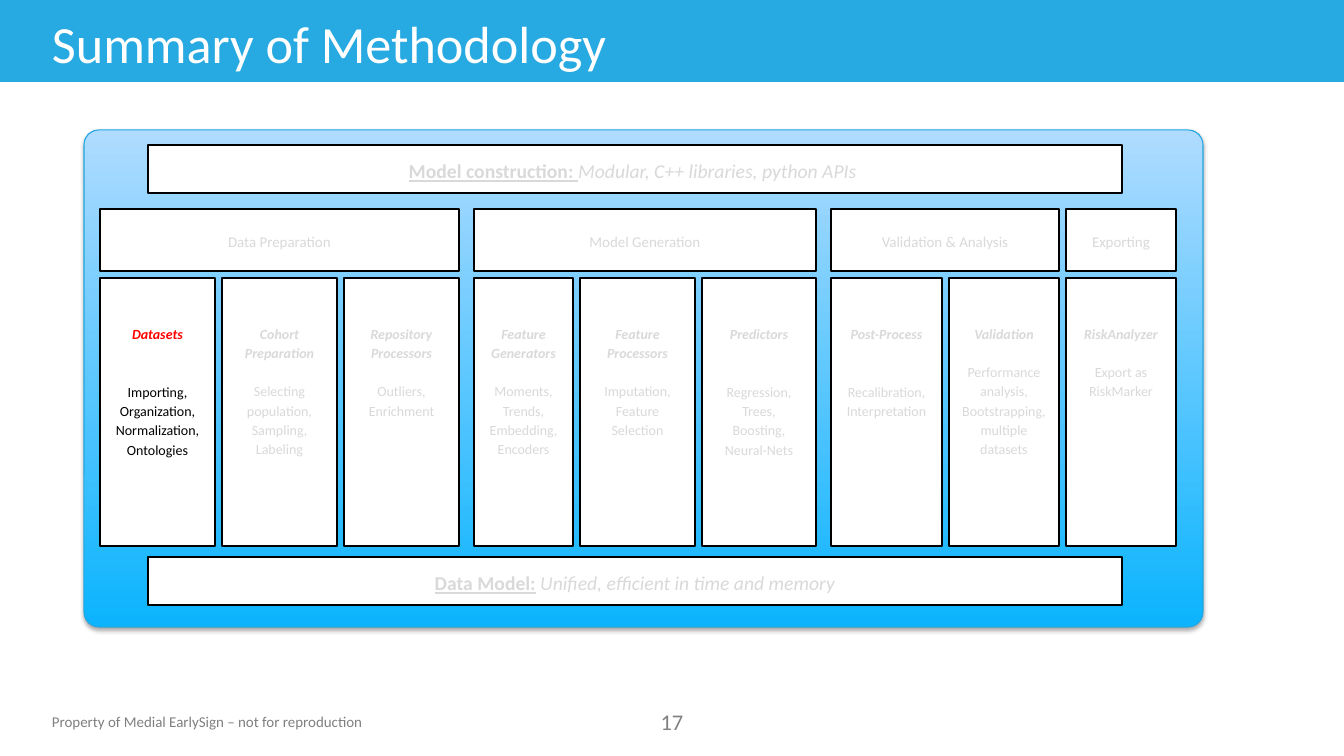
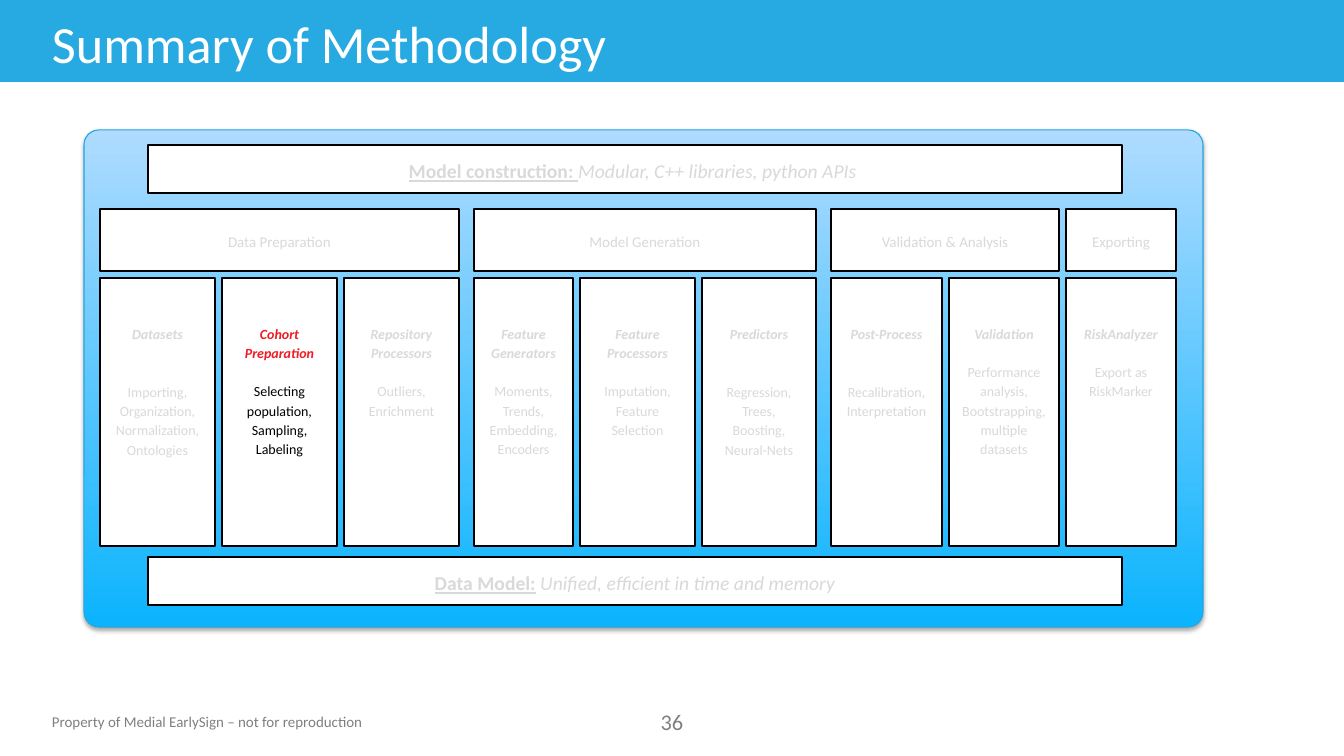
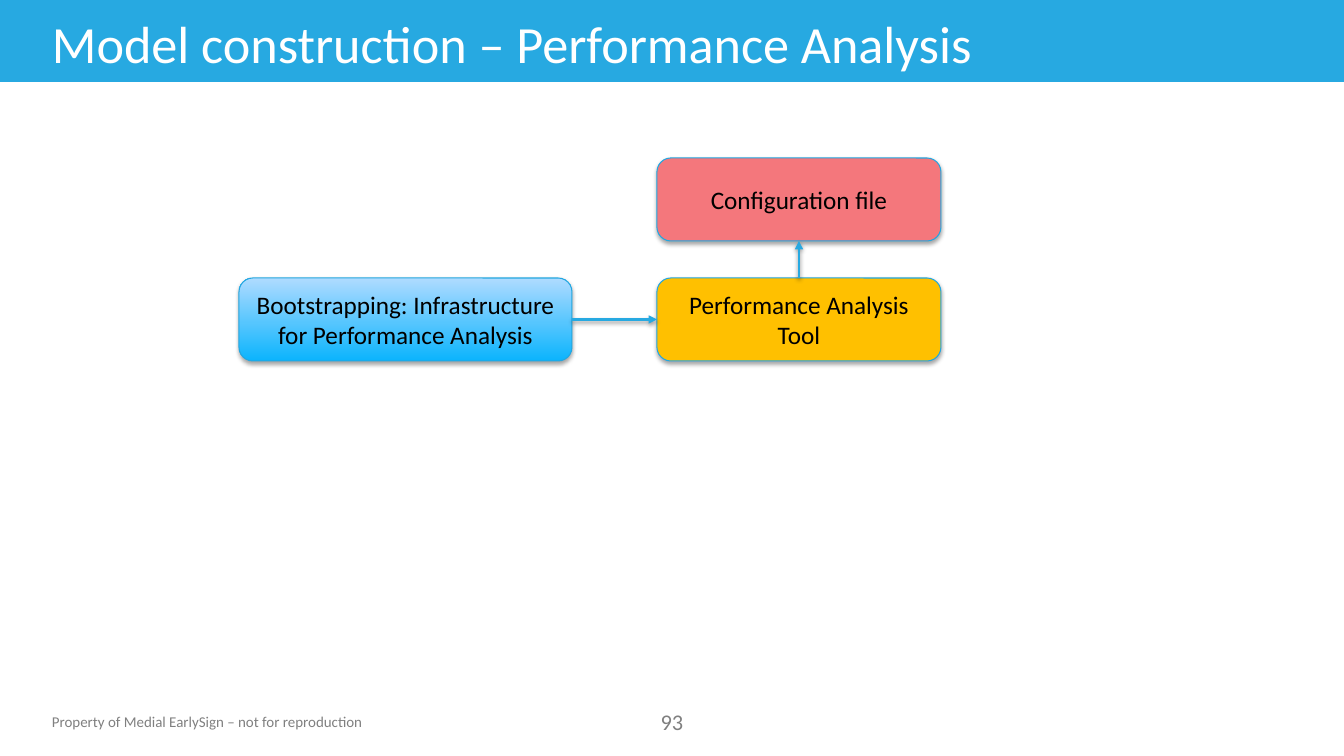
from dataclasses import dataclass

from lxml import etree
from pptx import Presentation, util as u
from pptx.dml.color import RGBColor
from pptx.enum import shapes, text
from pptx.oxml.ns import qn

EMU_PER_PX = 914400 / 100.8


@dataclass(frozen=True)
class Theme:
    """Colours, type sizes and spacing shared by the slides."""
    font: str = "Calibri"
    white: str = "FFFFFF"
    ink: str = "000000"
    band: str = "27A9E1"
    outline: str = "22A7E1"
    gradient: tuple = ("0BB4FD", "AFDBFF")
    muted: str = "D9D9D9"
    footer: str = "808080"
    red: str = "FF0000"
    crimson: str = "ED1C24"
    amber: str = "FFC000"
    coral: str = "F4777C"
    title_size: float = 37.3
    number_size: float = 16
    small_size: float = 10.7
    bar_size: float = 14
    card_size: float = 10
    node_size: float = 18
    line_spacing: float = 1.15
    space_after: float = 13.3
    skipped_line: float = 14


T = Theme()
CARD_GAP = 7
PHASES = [
    ("Data Preparation", 100, [
        (115, "Datasets", "Importing, Organization, Normalization, Ontologies", True),
        (115, "Cohort Preparation", "Selecting population, Sampling, Labeling", False),
        (115, "Repository Processors", "Outliers, Enrichment", False),
    ]),
    ("Model Generation", 474, [
        (99, "Feature Generators", "Moments, Trends, Embedding, Encoders", False),
        (115, "Feature Processors", "Imputation, Feature Selection", False),
        (114, "Predictors", "Regression, Trees, Boosting, Neural-Nets", True),
    ]),
    ("Validation & Analysis", 831, [
        (111, "Post-Process", "Recalibration, Interpretation", True),
        (110, "Validation", "Performance analysis, Bootstrapping, multiple datasets", False),
    ]),
    ("Exporting", 1066, [
        (110, "RiskAnalyzer", "Export as RiskMarker", False),
    ]),
]


def px(length):
    """Turn px into EMU."""
    return u.Emu(round(length * EMU_PER_PX))


def rgb(colour):
    """Read a hex colour."""
    return RGBColor.from_string(colour)


def add_run(paragraph, words, size, colour, bold=False, italic=False, underline=False):
    """Add one styled run to a paragraph."""
    run = paragraph.add_run()
    run.text = words
    font = run.font
    font.name, font.size, font.color.rgb = T.font, u.Pt(size), rgb(colour)
    font.bold, font.italic, font.underline = bold, italic, underline


def style_paragraph(paragraph, after=T.space_after):
    """Centre a diagram paragraph and set its spacing."""
    paragraph.alignment = text.PP_ALIGN.CENTER
    paragraph.line_spacing = T.line_spacing
    paragraph.space_after = u.Pt(after)


def add_label(slide, box, words, size, colour, align=text.PP_ALIGN.LEFT,
              anchor=text.MSO_ANCHOR.TOP, wrap=True):
    """Add a one-run text box."""
    frame = slide.shapes.add_textbox(*map(px, box)).text_frame
    frame.word_wrap, frame.vertical_anchor = wrap, anchor
    frame.paragraphs[0].alignment = align
    add_run(frame.paragraphs[0], words, size, colour)


def add_shadow(sp_pr, opacity, distance):
    """Give a shape or connector a soft shadow below."""
    effects = sp_pr.find(qn("a:effectLst"))
    if effects is None:
        effects = etree.SubElement(sp_pr, qn("a:effectLst"))
    shadow = etree.SubElement(effects, qn("a:outerShdw"), blurRad=str(u.Pt(3.1)),
                              dist=str(u.Pt(distance)), dir="5400000", rotWithShape="0")
    black = etree.SubElement(shadow, qn("a:srgbClr"), val=T.ink)
    etree.SubElement(black, qn("a:alpha"), val=str(opacity * 1000))


def add_block(slide, box, fill, outline, width, kind=shapes.MSO_SHAPE.RECTANGLE):
    """Add a filled shape; no outline colour means no line."""
    block = slide.shapes.add_shape(kind, *map(px, box))
    block.shadow.inherit = False
    if isinstance(fill, tuple):
        block.fill.gradient()
        block.fill.gradient_angle = 90
        for stop, colour in zip(block.fill.gradient_stops, fill):
            stop.color.rgb = rgb(colour)
    else:
        block.fill.solid()
        block.fill.fore_color.rgb = rgb(fill)
    if outline:
        block.line.color.rgb = rgb(outline)
        block.line.width = u.Pt(width)
    else:
        block.line.fill.background()
    return block


def add_rounded(slide, box, fill):
    """Add a rounded block with a shadow."""
    block = add_block(slide, box, fill, T.outline, 0.75, shapes.MSO_SHAPE.ROUNDED_RECTANGLE)
    add_shadow(block.element.spPr, 35, 1.8)
    return block


def add_panel_box(slide, box, anchor, top_inset=7):
    """Add a white outlined box and return its text frame."""
    frame = add_block(slide, box, T.white, T.ink, 1).text_frame
    frame.word_wrap, frame.vertical_anchor = True, anchor
    frame.margin_left = frame.margin_right = px(13)
    frame.margin_top, frame.margin_bottom = px(top_inset), px(7)
    return frame


def add_bar(slide, top, name, separator, detail):
    """Add a wide bar with an underlined name and its detail."""
    frame = add_panel_box(slide, (148, top, 974, 48), text.MSO_ANCHOR.MIDDLE)
    line = frame.paragraphs[0]
    style_paragraph(line)
    add_run(line, name, T.bar_size, T.muted, bold=True, underline=True)
    if separator:
        add_run(line, separator, T.bar_size, T.muted)
    add_run(line, detail, T.bar_size, T.muted, italic=True)


def add_card(slide, left, card, accent):
    """Add a step card, in strong colours when it has an accent."""
    width, heading, body, skips_line = card
    frame = add_panel_box(slide, (left, 278, width, 268), text.MSO_ANCHOR.TOP, 45)
    head = frame.paragraphs[0]
    style_paragraph(head, T.space_after + T.skipped_line * skips_line)
    add_run(head, heading, T.card_size, accent or T.muted, bold=True, italic=True)
    detail = frame.add_paragraph()
    style_paragraph(detail)
    add_run(detail, body, T.card_size, T.ink if accent else T.muted)


def add_phase(slide, name, left, cards, current, accent):
    """Add a phase header with its row of cards."""
    width = sum(card[0] for card in cards) + CARD_GAP * (len(cards) - 1)
    header = add_panel_box(slide, (left, 209, width, 62), text.MSO_ANCHOR.MIDDLE)
    style_paragraph(header.paragraphs[0])
    add_run(header.paragraphs[0], name, T.small_size, T.muted)
    for card in cards:
        add_card(slide, left, card, accent if card[1] == current else None)
        left += card[0] + CARD_GAP


def add_node(slide, box, fill, words):
    """Add a rounded flow node with centred text."""
    node = add_rounded(slide, box, fill)
    frame = node.text_frame
    frame.word_wrap, frame.vertical_anchor = True, text.MSO_ANCHOR.MIDDLE
    frame.paragraphs[0].alignment = text.PP_ALIGN.CENTER
    add_run(frame.paragraphs[0], words, T.node_size, T.ink)
    return node


def add_arrow(slide, source, source_side, target, target_side):
    """Join two nodes with an arrow."""
    arrow = slide.shapes.add_connector(shapes.MSO_CONNECTOR.STRAIGHT, 0, 0, 0, 0)
    arrow.begin_connect(source, source_side)
    arrow.end_connect(target, target_side)
    arrow.line.color.rgb = rgb(T.band)
    arrow.line.width = u.Pt(2)
    sp_pr = arrow.element.spPr
    etree.SubElement(sp_pr.find(qn("a:ln")), qn("a:tailEnd"), type="triangle")
    add_shadow(sp_pr, 38, 1.6)


def add_page(deck, title, number):
    """Add a slide with title band, footer and number."""
    slide = deck.slides.add_slide(deck.slide_layouts[6])
    add_block(slide, (0, 0, 1344, 82), T.band, None, 0)
    add_label(slide, (42, 708, 336, 28), "Property of Medial EarlySign – not for reproduction",
              T.small_size, T.footer, wrap=False)
    add_label(slide, (631, 703, 82, 37), number, T.number_size, T.footer,
              align=text.PP_ALIGN.CENTER)
    add_label(slide, (42, 6, 1119, 74), title, T.title_size, T.white,
              anchor=text.MSO_ANCHOR.MIDDLE)
    return slide


def add_methodology(deck, number, current, accent):
    """Add the methodology summary with one step highlighted."""
    slide = add_page(deck, "Summary of Methodology", number)
    panel = add_rounded(slide, (84, 130, 1119, 497), T.gradient)
    panel.adjustments[0] = 0.03
    add_bar(slide, 145, "Model construction: ", "", "Modular, C++ libraries, python APIs ")
    for name, left, cards in PHASES:
        add_phase(slide, name, left, cards, current, accent)
    add_bar(slide, 557, "Data Model:", " ", "Unified, efficient in time and memory")


def add_performance(deck, number):
    """Add the performance analysis flow."""
    slide = add_page(deck, "Model construction – Performance Analysis", number)
    bootstrapping = add_node(slide, (239, 278, 333, 83), T.gradient,
                             "Bootstrapping: Infrastructure for Performance Analysis")
    tool = add_node(slide, (657, 278, 284, 83), T.amber, "Performance Analysis Tool")
    configuration = add_node(slide, (657, 158, 284, 83), T.coral, "Configuration file")
    add_arrow(slide, bootstrapping, 3, tool, 1)
    add_arrow(slide, tool, 0, configuration, 2)


def main():
    """Build and save the deck."""
    deck = Presentation()
    deck.slide_width, deck.slide_height = px(1344), px(756)
    add_methodology(deck, "17", "Datasets", T.red)
    add_methodology(deck, "36", "Cohort Preparation", T.crimson)
    add_performance(deck, "93")
    deck.save("out.pptx")


if __name__ == "__main__":
    main()
